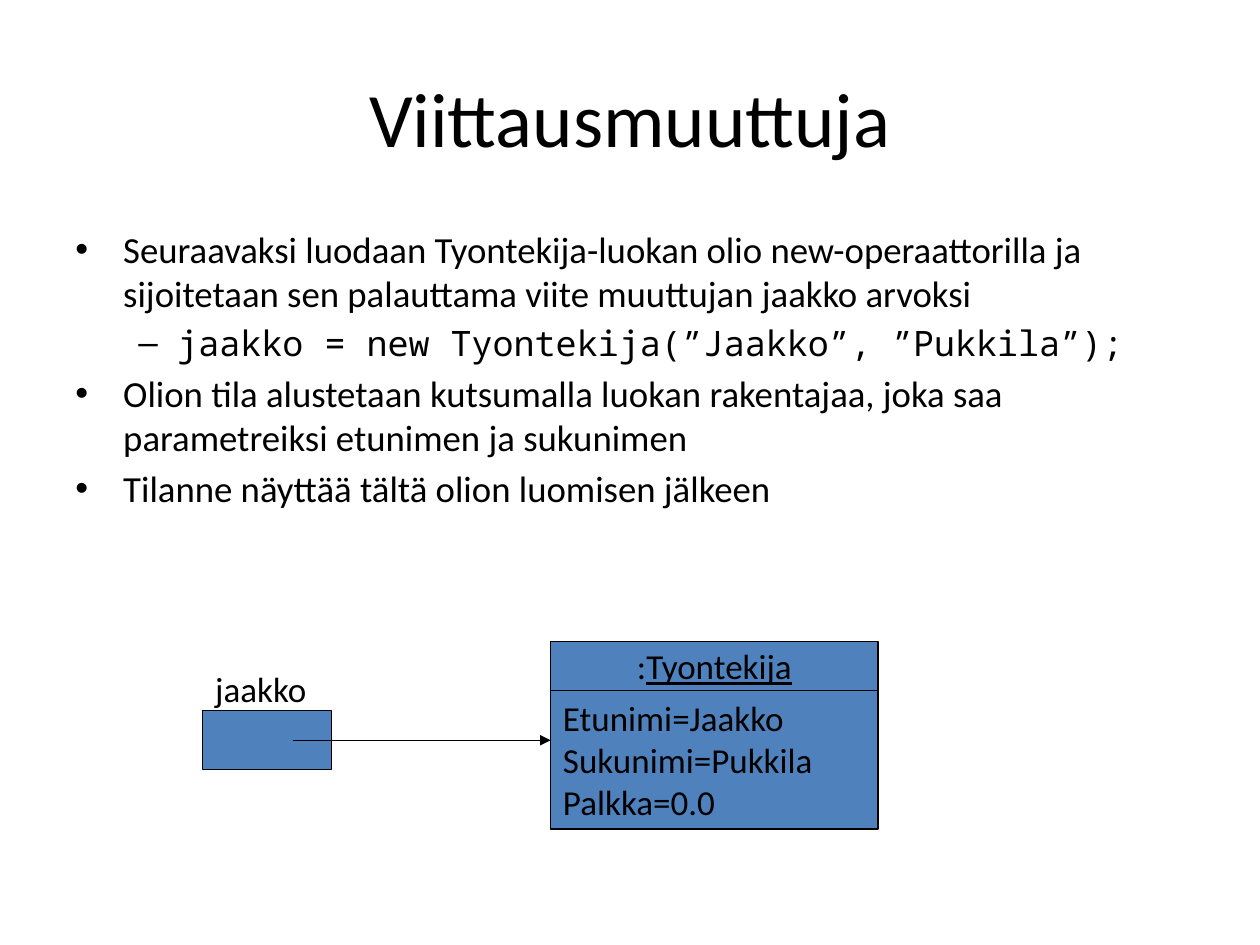
from lxml.etree import SubElement
from pptx import Presentation
from pptx.dml.color import RGBColor
from pptx.enum.shapes import MSO_CONNECTOR, MSO_SHAPE
from pptx.enum.text import MSO_ANCHOR, PP_ALIGN
from pptx.oxml.ns import qn
from pptx.util import Inches, Pt

BLACK, BLUE = "000000", "4F81BD"
SANS, MONO = "Calibri", "Noto Sans Mono"
WIDTH, HEIGHT, MARGIN = 10, 7.5, 0.5

TITLE = "Viittausmuuttuja"
BODY = [
    (0, "Seuraavaksi luodaan Tyontekija-luokan olio new-operaattorilla ja "
        "sijoitetaan sen palauttama viite muuttujan jaakko arvoksi"),
    (1, "jaakko = new Tyontekija(”Jaakko”, ”Pukkila”);"),
    (0, "Olion tila alustetaan kutsumalla luokan rakentajaa, joka saa "
        "parametreiksi etunimen ja sukunimen"),
    (0, "Tilanne näyttää tältä olion luomisen jälkeen"),
]
LEVELS = [
    {"bullet": "•", "indent": 0.38, "hanging": 0.38, "size": 21, "font": SANS},
    {"bullet": "–", "indent": 0.81, "hanging": 0.31, "size": 20, "font": MONO},
]
VARIABLE = "jaakko"
CLASS_NAME = [":", "Tyontekija"]
FIELDS = ["Etunimi=Jaakko", "Sukunimi=Pukkila", "Palkka=0.0"]

VARIABLE_LEFT, VARIABLE_TOP, VARIABLE_WIDTH, VARIABLE_HEIGHT = 1.61, 5.64, 1.02, 0.47
OBJECT_LEFT, OBJECT_TOP, OBJECT_WIDTH = 4.37, 5.09, 2.6
HEADER_HEIGHT, FIELDS_HEIGHT = 0.39, 1.1
ARROW_START = VARIABLE_LEFT + 0.7 * VARIABLE_WIDTH
ARROW_Y = VARIABLE_TOP + VARIABLE_HEIGHT / 2


def color(value):
    return RGBColor.from_string(value)


def style(paragraph, size=20, font=SANS):
    for span in paragraph.runs:
        span.font.size = Pt(size)
        span.font.name = font
        span.font.color.rgb = color(BLACK)


def add_text(page, place, wrap=True, anchor=MSO_ANCHOR.TOP):
    frame = page.shapes.add_textbox(*map(Inches, place)).text_frame
    frame.word_wrap = wrap
    frame.vertical_anchor = anchor
    return frame


def add_box(page, *place):
    box = page.shapes.add_shape(MSO_SHAPE.RECTANGLE, *map(Inches, place))
    box.shadow.inherit = False
    box.fill.solid()
    box.fill.fore_color.rgb = color(BLUE)
    box.line.color.rgb = color(BLACK)
    box.line.width = Pt(0.75)
    box.text_frame.word_wrap = False
    box.text_frame.vertical_anchor = MSO_ANCHOR.MIDDLE
    return box.text_frame


def add_bullet(paragraph, bullet, indent, hanging):
    paragraph.space_before = Pt(4)
    properties = paragraph._p.get_or_add_pPr()
    properties.set("marL", str(Inches(indent)))
    properties.set("indent", str(-Inches(hanging)))
    SubElement(properties, qn("a:buFont"), typeface="Arial")
    SubElement(properties, qn("a:buChar"), char=bullet)


def add_arrow(page, start, end, y):
    arrow = page.shapes.add_connector(
        MSO_CONNECTOR.STRAIGHT, *map(Inches, (start, y, end, y)))
    arrow.line.color.rgb = color(BLACK)
    arrow.line.width = Pt(0.75)
    SubElement(arrow.line._get_or_add_ln(), qn("a:tailEnd"), type="triangle")
    SubElement(arrow._element.spPr, qn("a:effectLst"))


def add_body(page):
    frame = add_text(page, (MARGIN, 1.75, WIDTH - 2 * MARGIN, 4.95))
    frame.text = "\n".join(text for _, text in BODY)
    for paragraph, (level, _) in zip(frame.paragraphs, BODY):
        look = LEVELS[level]
        paragraph.level = level
        add_bullet(paragraph, look["bullet"], look["indent"], look["hanging"])
        style(paragraph, look["size"], look["font"])


def add_diagram(page):
    add_box(page, VARIABLE_LEFT, VARIABLE_TOP, VARIABLE_WIDTH, VARIABLE_HEIGHT)
    label = add_text(page, (VARIABLE_LEFT, 5.25, VARIABLE_WIDTH, 0.43), wrap=False)
    label.text = VARIABLE
    style(label.paragraphs[0])

    header = add_box(page, OBJECT_LEFT, OBJECT_TOP, OBJECT_WIDTH, HEADER_HEIGHT)
    heading = header.paragraphs[0]
    heading.alignment = PP_ALIGN.CENTER
    for text in CLASS_NAME:
        heading.add_run().text = text
    heading.runs[-1].font.underline = True
    style(heading)

    fields = add_box(page, OBJECT_LEFT, OBJECT_TOP + HEADER_HEIGHT,
                     OBJECT_WIDTH, FIELDS_HEIGHT)
    fields.text = "\n".join(FIELDS)
    for paragraph in fields.paragraphs:
        paragraph.alignment = PP_ALIGN.LEFT
        style(paragraph)

    add_arrow(page, ARROW_START, OBJECT_LEFT, ARROW_Y)


def main():
    deck = Presentation()
    deck.slide_width, deck.slide_height = Inches(WIDTH), Inches(HEIGHT)
    page = deck.slides.add_slide(deck.slide_layouts[6])
    title = add_text(page, (MARGIN, 0.3, WIDTH - 2 * MARGIN, 1.25),
                     anchor=MSO_ANCHOR.MIDDLE)
    title.text = TITLE
    title.paragraphs[0].alignment = PP_ALIGN.CENTER
    style(title.paragraphs[0], 44)
    add_body(page)
    add_diagram(page)
    deck.save("out.pptx")


if __name__ == "__main__":
    main()
